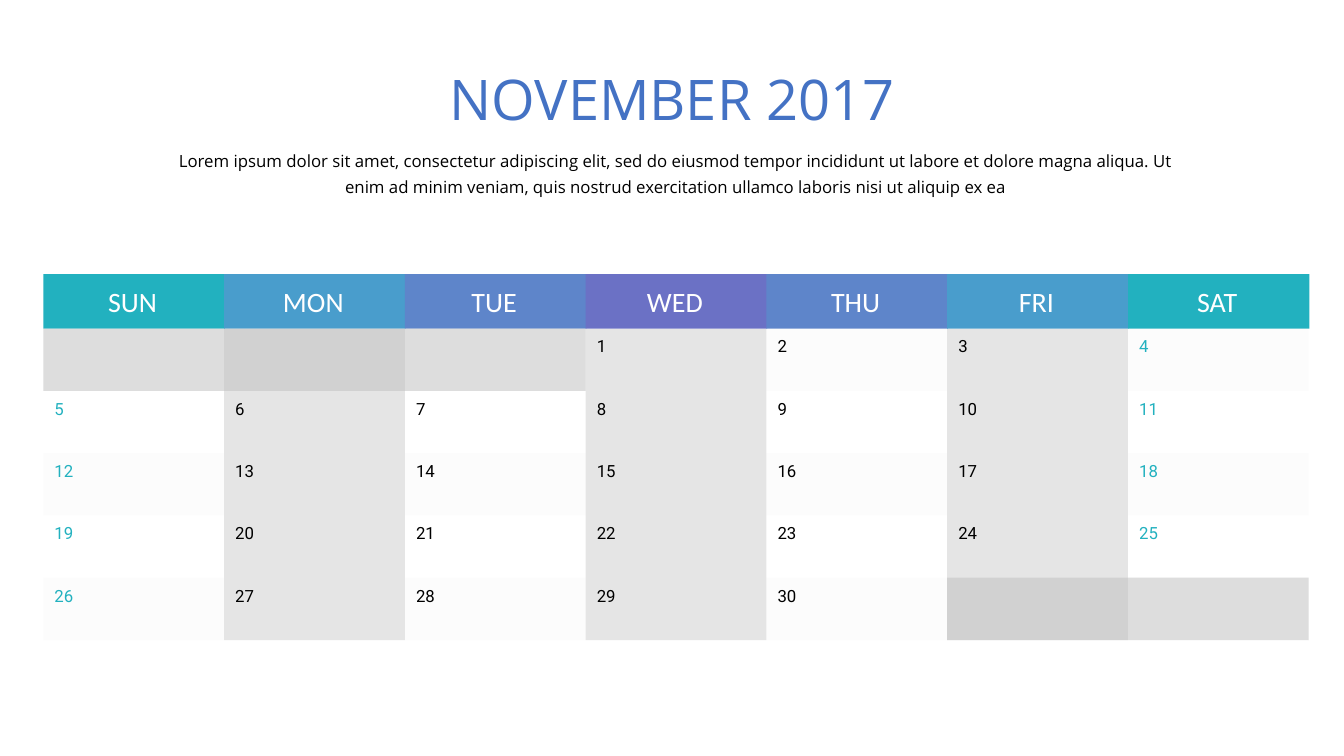
from lxml.etree import SubElement
from pptx import Presentation
from pptx.dml.color import RGBColor
from pptx.enum.shapes import MSO_SHAPE
from pptx.enum.text import MSO_ANCHOR, PP_ALIGN
from pptx.oxml.ns import qn
from pptx.util import Inches, Pt

TITLE = "NOVEMBER 2017"
SUBTITLE = (
    "Lorem ipsum dolor sit amet, consectetur adipiscing elit, sed do eiusmod "
    "tempor incididunt ut labore et dolore magna aliqua. Ut enim ad minim veniam, "
    "quis nostrud exercitation ullamco laboris nisi ut aliquip ex ea"
)
WEEKDAYS = [
    ("SUN", "22B1BF"),
    ("MON", "499DCC"),
    ("TUE", "5E85CA"),
    ("WED", "6B71C5"),
    ("THU", "5E85CA"),
    ("FRI", "499DCC"),
    ("SAT", "22B1BF"),
]
FIRST_COLUMN = 3
DAY_COUNT = 30
WEEK_COUNT = 5
SHADED_COLUMNS = (1, 3, 5)

THEME = {
    "title": ("Open Sans", 40, "4472C4"),
    "subtitle": ("Open Sans", 12, "000000"),
    "weekday": ("Calibri", 20, "FFFFFF"),
    "day": ("Roboto", 12, "000000"),
    "weekend": ("Roboto", 12, "22B1BF"),
    "column_shade": ("000000", 10),
    "week_shade": ("E7E6E6", 10),
    "outside_month": ("BFBFBF", 50),
}

LEFT, TOP = 0.43, 2.72
COLUMN_STEP, COLUMN_WIDTH = 1.793, 1.8
HEADER_HEIGHT, WEEK_HEIGHT = 0.54, 0.618
WEEKS_TOP = TOP + HEADER_HEIGHT
CALENDAR_WIDTH = 12.55


def column_left(column):
    return LEFT + column * COLUMN_STEP


def week_top(week):
    return WEEKS_TOP + week * WEEK_HEIGHT


def add_block(slide, left, top, width, height, color, opacity=100):
    shape = slide.shapes.add_shape(
        MSO_SHAPE.RECTANGLE, Inches(left), Inches(top), Inches(width), Inches(height)
    )
    shape.shadow.inherit = False
    shape.fill.solid()
    shape.fill.fore_color.rgb = RGBColor.from_string(color)
    shape.line.fill.background()
    if opacity < 100:
        color_element = shape.fill._xPr.find(qn("a:solidFill"))[0]
        SubElement(color_element, qn("a:alpha")).set("val", str(opacity * 1000))


def add_text(slide, text, left, top, width, height, style, align=PP_ALIGN.CENTER,
             inset=0.06, anchor=MSO_ANCHOR.MIDDLE, wrap=True, line_spacing=None):
    text_box = slide.shapes.add_textbox(
        Inches(left), Inches(top), Inches(width), Inches(height)
    )
    frame = text_box.text_frame
    frame.word_wrap = wrap
    frame.vertical_anchor = anchor
    frame.margin_left = frame.margin_right = Inches(inset)
    frame.margin_top = frame.margin_bottom = Inches(inset)
    frame.text = text
    paragraph = frame.paragraphs[0]
    paragraph.alignment = align
    paragraph.line_spacing = line_spacing
    font = paragraph.runs[0].font
    name, size, color = THEME[style]
    font.name = name
    font.size = Pt(size)
    font.color.rgb = RGBColor.from_string(color)


def add_calendar(slide):
    for column in SHADED_COLUMNS:
        add_block(slide, column_left(column), WEEKS_TOP, COLUMN_STEP,
                  WEEK_COUNT * WEEK_HEIGHT, *THEME["column_shade"])

    for column, (name, color) in enumerate(WEEKDAYS):
        add_block(slide, column_left(column), TOP, COLUMN_WIDTH, HEADER_HEIGHT, color)
        add_text(slide, name, column_left(column) + 0.02, TOP + 0.02, 1.73, 0.49, "weekday")

    for week in range(0, WEEK_COUNT, 2):
        add_block(slide, LEFT, week_top(week), CALENDAR_WIDTH, WEEK_HEIGHT,
                  *THEME["week_shade"])

    end_column = (FIRST_COLUMN + DAY_COUNT) % len(WEEKDAYS)
    for week, first, last in [
        (0, 0, FIRST_COLUMN),
        (WEEK_COUNT - 1, end_column, len(WEEKDAYS)),
    ]:
        add_block(slide, column_left(first), week_top(week),
                  (last - first) * COLUMN_STEP, WEEK_HEIGHT, *THEME["outside_month"])

    for day in range(1, DAY_COUNT + 1):
        week, column = divmod(day + FIRST_COLUMN - 1, len(WEEKDAYS))
        style = "weekend" if column in (0, len(WEEKDAYS) - 1) else "day"
        add_text(slide, str(day), column_left(column) + 0.05, week_top(week),
                 0.65, 0.35, style, PP_ALIGN.LEFT)


def main():
    presentation = Presentation()
    presentation.slide_width = Inches(13.33)
    presentation.slide_height = Inches(7.5)
    slide = presentation.slides.add_slide(presentation.slide_layouts[6])
    add_calendar(slide)
    add_text(slide, TITLE, 4.4, 0.64, 4.53, 0.67, "title",
             inset=0, anchor=MSO_ANCHOR.TOP, wrap=False)
    add_text(slide, SUBTITLE, 1.71, 1.45, 9.99, 0.5, "subtitle",
             inset=0, anchor=MSO_ANCHOR.TOP, line_spacing=1.25)
    presentation.save("out.pptx")


if __name__ == "__main__":
    main()
